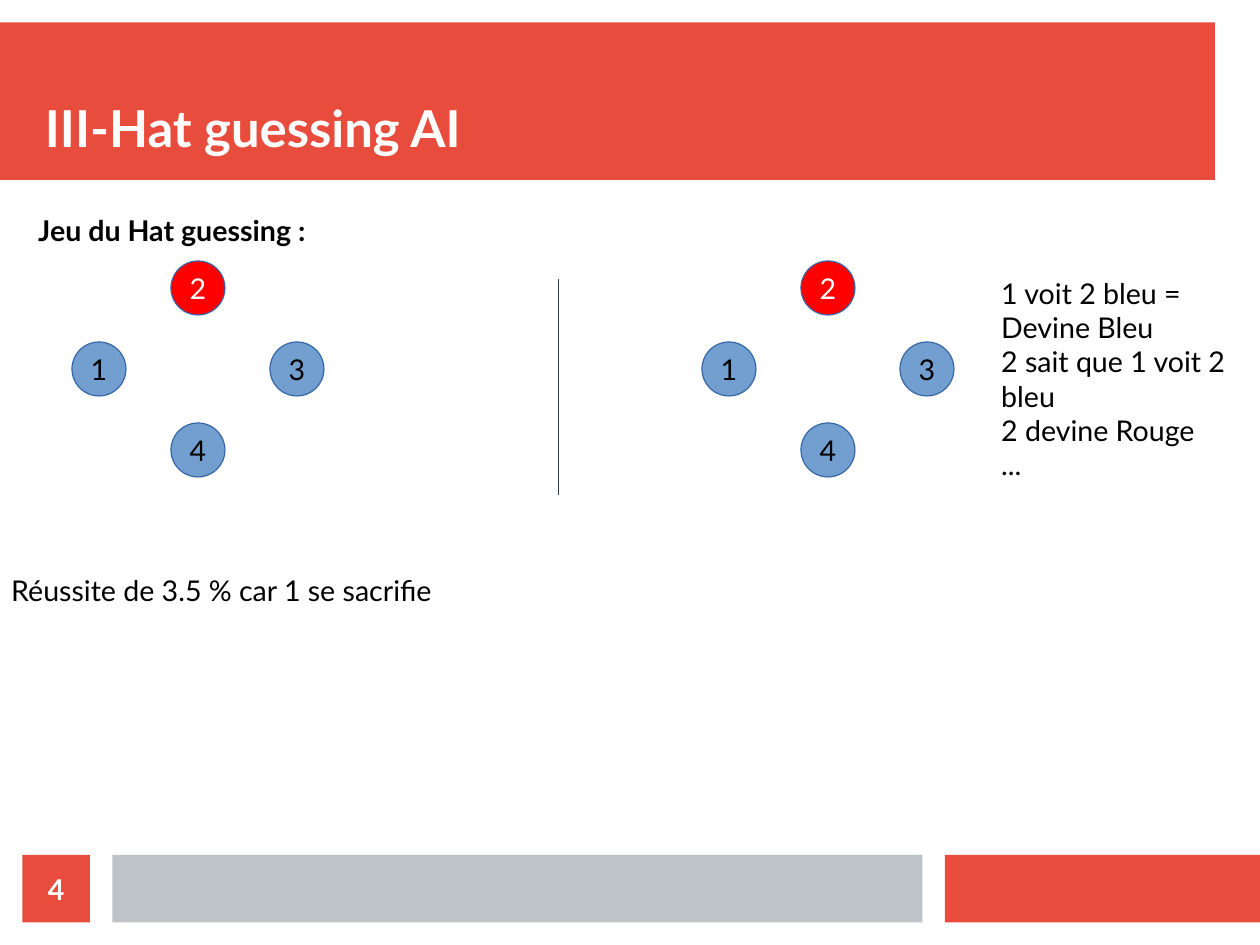
from pptx import Presentation
from pptx import util as u
from pptx.dml.color import RGBColor
from pptx.enum import shapes, text
from pptx.oxml.ns import qn
from lxml import etree

COLORS = {
    "accent": "E74C3C",
    "footer": "BDC3C7",
    "blue_hat": "729FCF",
    "red_hat": "FF0000",
    "outline": "3465A4",
    "divider": "2C3E50",
    "dark": "000000",
    "light": "FFFFFF",
}
COLUMNS, ROWS = 28, 21
HAT_SIZE = 1.2
PLAYERS = [
    ("1", 0, 1, "blue_hat", "dark"),
    ("2", 1, 0, "red_hat", "light"),
    ("3", 2, 1, "blue_hat", "dark"),
    ("4", 1, 2, "blue_hat", "dark"),
]
REASONING = [
    "1 voit 2 bleu =",
    "Devine Bleu",
    "2 sait que 1 voit 2 bleu",
    "2 devine Rouge",
    "...",
]


def color(name):
    return RGBColor.from_string(COLORS[name])


class SlideBuilder:
    """Places elements on a grid of one-centimetre columns and rows."""

    font = "Lato"
    body_size = 18
    margins = (0.25, 0.13)

    def __init__(self, deck):
        deck.slide_width, deck.slide_height = u.Cm(COLUMNS), u.Cm(ROWS)
        self.page = deck.slides.add_slide(deck.slide_layouts[6])

    def set_text(self, box, lines, ink="dark", size=body_size, bold=False,
                 align=text.PP_ALIGN.LEFT, margins=margins, **frame_format):
        frame = box.text_frame
        side, edge = (u.Cm(margin) for margin in margins)
        settings = {
            "margin_left": side, "margin_right": side,
            "margin_top": edge, "margin_bottom": edge,
            "word_wrap": True, "vertical_anchor": text.MSO_ANCHOR.TOP,
        }
        for name, value in (settings | frame_format).items():
            setattr(frame, name, value)
        font_format = {"name": self.font, "size": u.Pt(size), "bold": bold}
        for index, line in enumerate(lines):
            para = frame.add_paragraph() if index else frame.paragraphs[0]
            para.alignment = align
            span = para.add_run()
            span.text = line
            for name, value in font_format.items():
                setattr(span.font, name, value)
            span.font.color.rgb = color(ink)

    def text_box(self, column, row, width, height, lines, **style):
        box = self.page.shapes.add_textbox(*map(u.Cm, (column, row, width, height)))
        self.set_text(box, lines, **style)

    def filled(self, kind, column, row, width, height, fill):
        shape = self.page.shapes.add_shape(
            kind, *map(u.Cm, (column, row, width, height)))
        shape.shadow.inherit = False
        shape.fill.solid()
        shape.fill.fore_color.rgb = color(fill)
        return shape

    def block(self, column, row, width, height, fill):
        shape = self.filled(shapes.MSO_SHAPE.RECTANGLE, column, row, width, height, fill)
        shape.line.fill.background()
        return shape

    def player(self, column, row, number, fill, ink):
        hat = self.filled(shapes.MSO_SHAPE.OVAL, column, row, HAT_SIZE, HAT_SIZE, fill)
        hat.line.color.rgb = color("outline")
        hat.line.width = u.Pt(0)
        self.set_text(hat, [number], ink, align=text.PP_ALIGN.CENTER,
                      vertical_anchor=text.MSO_ANCHOR.MIDDLE, word_wrap=False)

    def divider(self, column, top, bottom):
        line = self.page.shapes.add_connector(
            shapes.MSO_CONNECTOR.STRAIGHT, *map(u.Cm, (column, top, column, bottom)))
        line.line.color.rgb = color("divider")
        line.line.width = u.Pt(0.5)
        etree.SubElement(line._element.spPr, qn("a:effectLst"))


def main():
    deck = Presentation()
    slide = SlideBuilder(deck)

    slide.block(0, 0.5, 27, 3.5, "accent")
    slide.block(21, 19, 7, 1.5, "accent")
    slide.block(2.5, 19, 18, 1.5, "footer")
    slide.text_box(1, 1, 26, 2.5, ["III-Hat guessing AI"], ink="light", size=32,
                   bold=True, margins=(0, 0), vertical_anchor=text.MSO_ANCHOR.BOTTOM)

    grow = {"auto_size": text.MSO_AUTO_SIZE.SHAPE_TO_FIT_TEXT}
    slide.text_box(0.6, 4.6, 18.4, 1.12, ["Jeu du Hat guessing :"], bold=True, **grow)
    for left in (1.6, 15.6):
        for number, across, down, fill, ink in PLAYERS:
            slide.player(left + across * 2.2, 5.8 + down * 1.8, number, fill, ink)
    slide.divider(12.4, 6.2, 11)
    slide.text_box(22, 6, 6, 5.44, REASONING, **grow)
    slide.text_box(0, 12.6, 12.2, 1.12, ["Réussite de 3.5 % car 1 se sacrifie"], **grow)

    page_number = slide.block(0.5, 19, 1.5, 1.5, "accent")
    slide.set_text(page_number, ["4"], "light", bold=True, margins=(0, 0),
                   align=text.PP_ALIGN.CENTER, vertical_anchor=text.MSO_ANCHOR.MIDDLE)

    deck.save("out.pptx")


if __name__ == "__main__":
    main()
